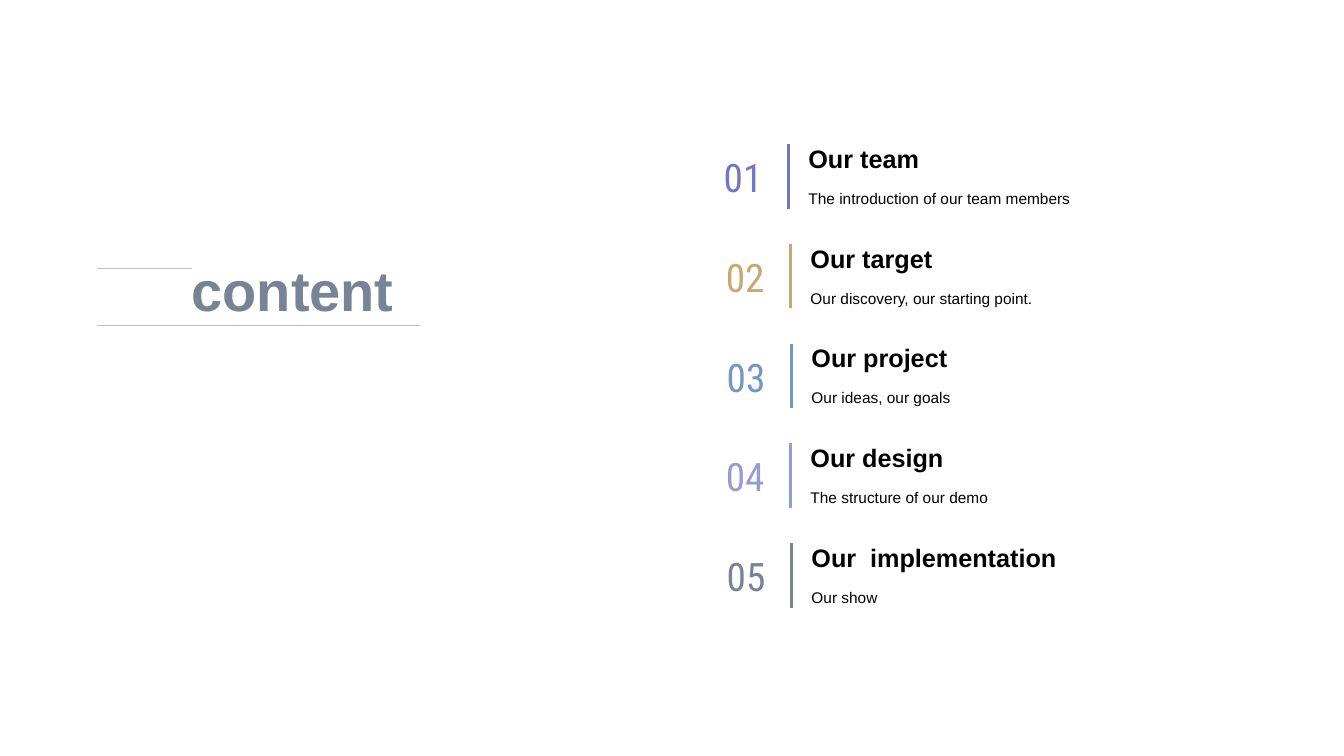
import pptx
import pptx.dml.color
import pptx.enum.shapes
import pptx.enum.text
import pptx.util
from pptx.dml.color import RGBColor
from pptx.enum.text import MSO_ANCHOR, PP_ALIGN
from pptx.util import Inches

BLACK = RGBColor(0x00, 0x00, 0x00)
RULE_GREY = RGBColor(0xBF, 0xBF, 0xBF)
VIOLET = RGBColor(0x72, 0x77, 0xC5)
GOLD = RGBColor(0xC5, 0xA8, 0x73)
BLUE = RGBColor(0x73, 0x96, 0xC5)
LAVENDER = RGBColor(0x96, 0x9C, 0xD0)
SLATE = RGBColor(0x77, 0x84, 0x95)

TEXT_FONT = "Arial"
NUMBER_FONT = "Roboto Condensed"

# Heading, description, colour, and how far the bar is shifted to the right
SECTIONS = [
    ("Our team", "The introduction of our team members", VIOLET, 0),
    ("Our target", "Our discovery, our starting point.", GOLD, 0.02),
    ("Our project", "Our ideas, our goals", BLUE, 0.03),
    ("Our design", "The structure of our demo", LAVENDER, 0.02),
    ("Our  implementation", "Our show", SLATE, 0.03),
]
FIRST_TOP = 1.34
ROW_PITCH = 0.99
NUMBER_LEFT = 7.08
NUMBER_WIDTH = 0.58
BAR_LEFT = 7.82
TEXT_GAP = 0.1
TEXT_WIDTH = 4.47

TITLE_LEFT = 1.8
RULE_LEFT = 0.96
RULE_RIGHT = 4.17


def add_rule(slide, start, end, color, weight):
    """Draw a straight line without shadow between two (x, y) points in inches."""
    rule = slide.shapes.add_connector(
        pptx.enum.shapes.MSO_CONNECTOR.STRAIGHT,
        *(Inches(value) for value in (*start, *end)))
    rule.line.color.rgb = color
    rule.line.width = pptx.util.Pt(weight)
    rule._element.spPr.append(pptx.oxml.parse_xml(
        '<a:effectLst xmlns:a="http://schemas.openxmlformats.org/drawingml/2006/main"/>'))


def write_text(shape, text, size, color, font=TEXT_FONT, bold=False,
               anchor=MSO_ANCHOR.TOP, align=PP_ALIGN.LEFT, wrap=False):
    frame = shape.text_frame
    frame.text = text
    frame.auto_size = pptx.enum.text.MSO_AUTO_SIZE.NONE
    frame.word_wrap = wrap
    frame.vertical_anchor = anchor
    paragraph = frame.paragraphs[0]
    paragraph.alignment = align
    run_font = paragraph.runs[0].font
    run_font.name = font
    run_font.size = pptx.util.Pt(size)
    run_font.bold = bold
    run_font.color.rgb = color


def add_text(slide, left, top, width, height, text, size, color, **style):
    box = slide.shapes.add_textbox(
        Inches(left), Inches(top), Inches(width), Inches(height))
    write_text(box, text, size, color, **style)
    return box


def add_title(slide):
    """Place the title between its two rules, as wide as the lower one allows."""
    title = slide.shapes.title
    title.left, title.top = Inches(TITLE_LEFT), Inches(2.46)
    title.width, title.height = Inches(RULE_RIGHT - TITLE_LEFT), Inches(0.81)
    write_text(title, "content", 40, SLATE, bold=True, anchor=MSO_ANCHOR.MIDDLE)
    add_rule(slide, (RULE_LEFT, 2.66), (1.9, 2.66), RULE_GREY, 0.5)
    add_rule(slide, (RULE_LEFT, 3.23), (RULE_RIGHT, 3.23), RULE_GREY, 0.5)


def add_section(slide, index, heading, description, color, shift):
    """Add one numbered row: number, coloured bar, heading and description."""
    top = FIRST_TOP + index * ROW_PITCH
    bar_left = BAR_LEFT + shift
    text_left = bar_left + TEXT_GAP
    add_text(slide, NUMBER_LEFT, top + 0.13, NUMBER_WIDTH + 2 * shift, 0.57,
             f"{index + 1:02}", 28, color, font=NUMBER_FONT,
             anchor=MSO_ANCHOR.MIDDLE, align=PP_ALIGN.CENTER)
    add_rule(slide, (bar_left, top + 0.09), (bar_left, top + 0.73), color, 2.25)
    add_text(slide, text_left, top, TEXT_WIDTH, 0.43, heading, 18, BLACK,
             bold=True, anchor=MSO_ANCHOR.BOTTOM)
    details = add_text(slide, text_left, top + 0.43, TEXT_WIDTH, 0.39,
                       description, 11, BLACK, wrap=True)
    details.text_frame.paragraphs[0].line_spacing = 1.3


def main():
    deck = pptx.Presentation()
    deck.slide_width, deck.slide_height = Inches(13.33), Inches(7.5)
    slide = deck.slides.add_slide(deck.slide_layouts.get_by_name("Title Only"))
    add_title(slide)
    for index, section in enumerate(SECTIONS):
        add_section(slide, index, *section)
    deck.save("out.pptx")


if __name__ == "__main__":
    main()
